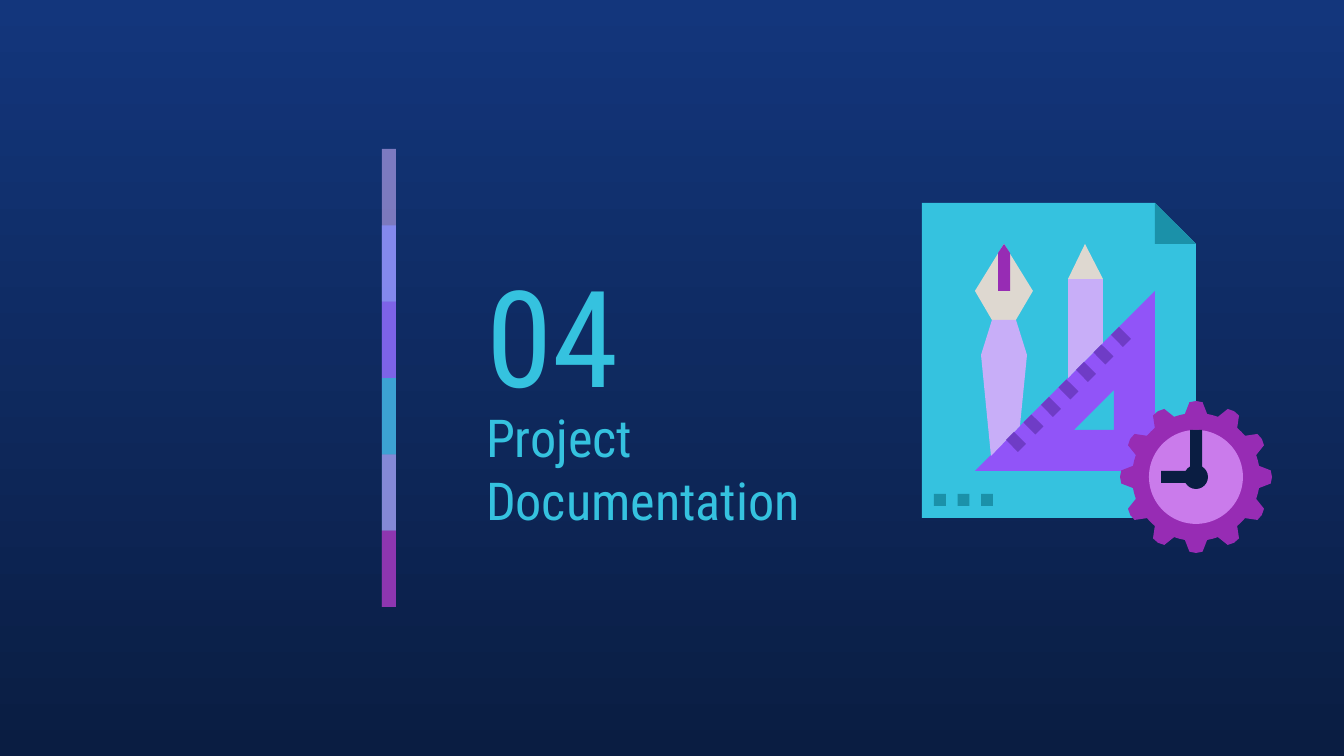
from math import cos, radians, sin

from lxml import etree
from pptx import Presentation
from pptx.dml.color import RGBColor
from pptx.enum.shapes import MSO_SHAPE
from pptx.enum.text import MSO_ANCHOR
from pptx.oxml.ns import qn
from pptx.util import Pt

PX = 914400 / 134.4  # EMU in one px


def paint(sp, color, alpha=100):
    """Flat fill, no line, no shadow."""
    sp.shadow.inherit = False
    sp.line.fill.background()
    sp.fill.solid()
    sp.fill.fore_color.rgb = RGBColor.from_string(color)
    if alpha < 100:
        clr = sp.fill._xPr.find(qn("a:solidFill"))[0]
        etree.SubElement(clr, qn("a:alpha"), val=str(alpha * 1000))


def outline(shapes, color, *contours):
    """Closed freeform from one or more lists of px points."""
    loops = [[(round(x * PX), round(y * PX)) for x, y in c] for c in contours]
    fb = shapes.build_freeform(*loops[0][0], scale=1.0)
    fb.add_line_segments(loops[0][1:], close=True)
    for loop in loops[1:]:
        fb.move_to(*loop[0])
        fb.add_line_segments(loop[1:], close=True)
    paint(fb.convert_to_shape(), color)


prs = Presentation()
prs.slide_width, prs.slide_height = round(1344 * PX), round(756 * PX)
s = prs.slides.add_slide(prs.slide_layouts[6])

# Background: vertical gradient
bg = s.background.fill
bg.gradient()
bg.gradient_angle = 270
for stop, pos, color in zip(bg.gradient_stops, (0, 1), ("13367C", "0A1D42")):
    stop.position = pos
    stop.color.rgb = RGBColor.from_string(color)

# Colour bar: translucent strips, each overlapping the next by half
bar = s.shapes.add_group_shape().shapes
strips = [("C8AEF8", 59), ("878FFF", 74), ("9154F8", 53),
          ("35C2DF", 76), ("CA7BEB", 56), ("972CB4", 74)]
TOP, BOTTOM = 149, 607
step = (BOTTOM - TOP) / len(strips)
for i, (color, alpha) in enumerate(strips):
    y = TOP + i * step
    h = min(2 * step, BOTTOM - y)
    sp = bar.add_shape(MSO_SHAPE.RECTANGLE, *[round(v * PX) for v in (382, y, 14, h)])
    paint(sp, color, alpha)

# Section number and title
for text, size, box in [("04", 72, (473, 243, 235, 181)),
                        ("Project Documentation", 28, (473, 423, 386, 90))]:
    tf = s.shapes.add_textbox(*[round(v * PX) for v in box]).text_frame
    frame = {"word_wrap": True, "vertical_anchor": MSO_ANCHOR.MIDDLE}
    frame.update({f"margin_{side}": round(13 * PX)
                  for side in ("left", "top", "right", "bottom")})
    for name, value in frame.items():
        setattr(tf, name, value)
    r = tf.paragraphs[0].add_run()
    r.text = text
    for name, value in {"size": Pt(size), "name": "Roboto Condensed"}.items():
        setattr(r.font, name, value)
    r.font.color.rgb = RGBColor.from_string("35C2DF")

icon = s.shapes.add_group_shape().shapes

# Page with folded corner
outline(icon, "35C2DF", [(922, 203), (922, 518), (1196, 518), (1196, 244), (1155, 203)])
outline(icon, "1B91A9", [(1155, 203), (1155, 244), (1196, 244)])

# Set square with a triangular hole
outline(icon, "9154F8", [(1114, 390), (1114, 430), (1074, 430)],
        [(1155, 291), (975, 471), (1155, 471)])

# Gear: 12 teeth around the clock centre, as (angle, radius) per tooth
CX, CY = 1196, 477
tooth = [(-10, 64), (-5, 75), (0, 76), (5, 75), (10, 64), (15, 64)]
gear = [(CX + rad * sin(radians(30 * n + a)), CY - rad * cos(radians(30 * n + a)))
        for n in range(12) for a, rad in tooth]
outline(icon, "972CB4", gear)

# Pencil
outline(icon, "DED8D0", [(1085, 244), (1068, 279), (1103, 279)])
outline(icon, "C8AEF8", [(1068, 279), (1068, 378), (1103, 343), (1103, 279)])

# Fountain pen
outline(icon, "DED8D0", [(1004, 244), (975, 291), (992, 320), (1016, 320), (1033, 291)])
outline(icon, "C8AEF8", [(992, 320), (981, 355), (991, 456),
                         (1020, 426), (1027, 355), (1016, 320)])
outline(icon, "972CB4", [(1004, 244), (998, 253), (998, 291), (1010, 291), (1010, 253)])

# Clock face, hands and hub
for rad, color in [(47, "CA7BEB"), (12, "0A1D42")]:
    sp = icon.add_shape(MSO_SHAPE.OVAL, *[round(v * PX) for v in
                                          (CX - rad, CY - rad, 2 * rad, 2 * rad)])
    paint(sp, color)
outline(icon, "0A1D42", [(1190, 430), (1190, 471), (1161, 471),
                         (1161, 483), (1202, 483), (1202, 430)])

# Ruler ticks along the set square
for i in range(7):
    d = 17.5 * i
    outline(icon, "6F3CC6", [(x + d, y - d) for x, y in
                             [(1014, 432), (1006, 440), (1018, 452), (1026, 444)]])

# Dots at the foot of the page
for i in range(3):
    sp = icon.add_shape(MSO_SHAPE.RECTANGLE, *[round(v * PX) for v in
                                               (934 + 23.5 * i, 494, 12, 12)])
    paint(sp, "1B91A9")

prs.save("out.pptx")
